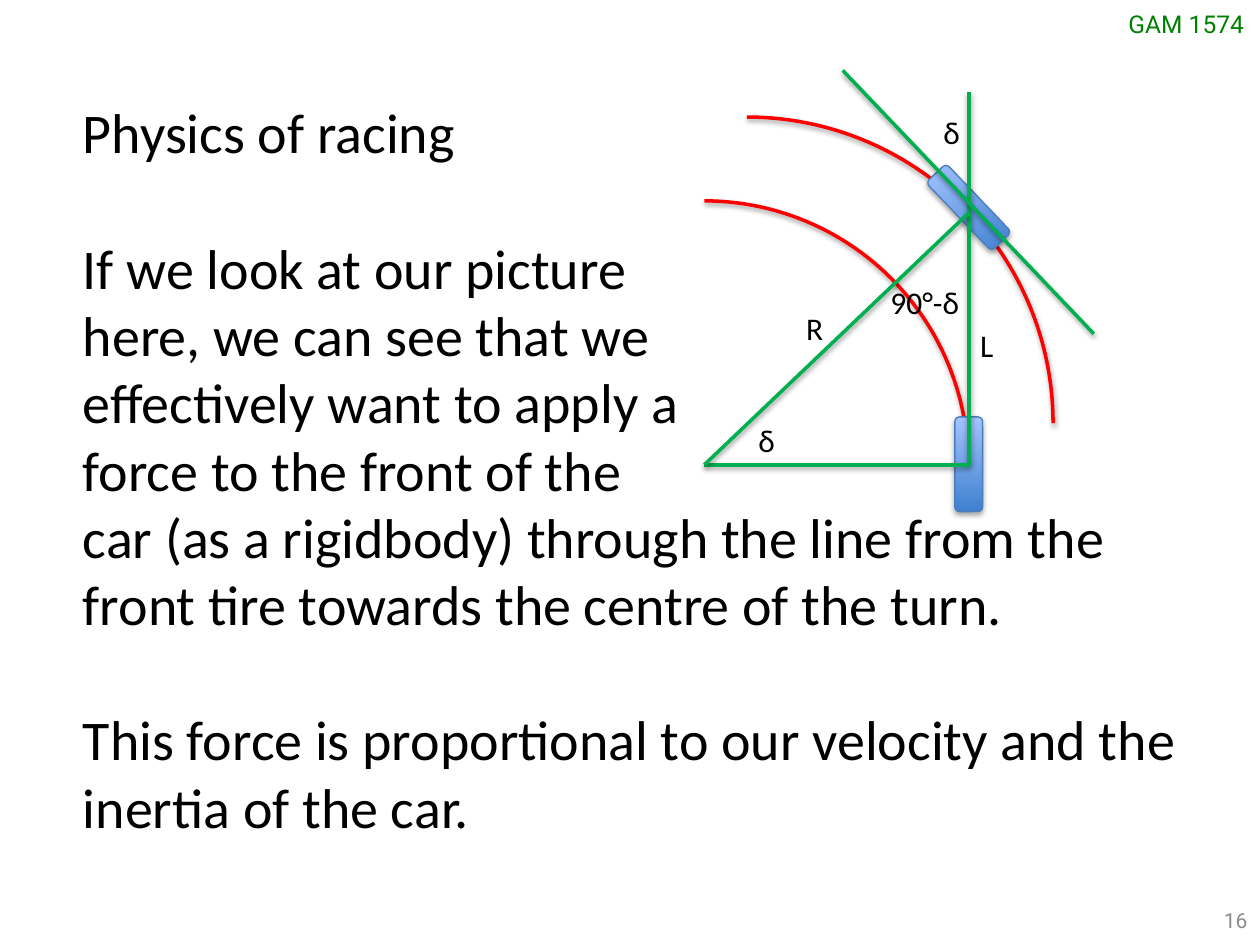
from typing import NamedTuple

import pptx
import pptx.dml.color
import pptx.enum.shapes
import pptx.enum.text
import pptx.oxml
import pptx.oxml.ns
import pptx.util

Cm = pptx.util.Cm
Pt = pptx.util.Pt
RGBColor = pptx.dml.color.RGBColor
Kind = pptx.enum.shapes.MSO_SHAPE
Align = pptx.enum.text.PP_ALIGN
Anchor = pptx.enum.text.MSO_ANCHOR

BLACK = RGBColor(0x00, 0x00, 0x00)
GREY = RGBColor(0x8C, 0x8C, 0x8C)
GREEN = RGBColor(0x00, 0x80, 0x00)
LIME = RGBColor(0x00, 0xB0, 0x50)
RED = RGBColor(0xFF, 0x00, 0x00)
EDGE = RGBColor(0x4B, 0x7E, 0xBC)
DARK = RGBColor(0x3F, 0x80, 0xCE)
LIGHT = RGBColor(0xA4, 0xC4, 0xFF)


# Lengths in these records are centimetres
class Label(NamedTuple):
    text: str
    x: float
    y: float
    wide: float


class Arc(NamedTuple):
    x: float
    y: float
    radius: float


class Wheel(NamedTuple):
    y: float
    turn: float


class Line(NamedTuple):
    x1: float
    y1: float
    x2: float
    y2: float


AXLE = 19.53  # x of both wheels
HUB_X, HUB_Y = 14.2, 9.37  # centre of the turn

ARCS = [Arc(HUB_X, HUB_Y, 5.32), Arc(15.06, 8.53, 6.17)]
WHEELS = [Wheel(9.36, 0), Wheel(4.18, 316.3)]
LINES = [
    Line(AXLE, 1.85, AXLE, HUB_Y),
    Line(AXLE, HUB_Y, HUB_X, HUB_Y),
    Line(AXLE, 4.29, HUB_X, HUB_Y),
    Line(22.05, 6.73, 16.99, 1.42),
]
LABELS = [
    Label("δ", 15.04, 8.36, 0.84),
    Label("90°-δ", 17.7, 5.59, 1.91),
    Label("R", 16, 6.1, 0.86),
    Label("L", 19.51, 6.45, 0.79),
    Label("δ", 18.77, 2.16, 0.84),
]
# Each block is a list of paragraphs; a gap of one line parts the blocks
BLOCKS = [
    ["Physics of racing"],
    [
        "If we look at our picture",
        "here, we can see that we",
        "effectively want to apply a",
        "force to the front of the",
        "car (as a rigidbody) through the line from the front tire "
        "towards the centre of the turn.",
    ],
    ["This force is proportional to our velocity and the inertia of the car."],
]


def style(para, size: float, color: RGBColor, face: str) -> None:
    para.font.size = Pt(size)
    para.font.color.rgb = color
    para.font.name = face


def add_box(slide, x: float, y: float, wide: float, high: float, wrap: bool):
    box = slide.shapes.add_textbox(Cm(x), Cm(y), Cm(wide), Cm(high))
    box.text_frame.word_wrap = wrap
    return box.text_frame


def add_shadow(shape, alpha: int, dist: float) -> None:
    xml = (
        f'<a:effectLst {pptx.oxml.ns.nsdecls("a")}>'
        f'<a:outerShdw blurRad="{Pt(3.1)}" dist="{Pt(dist)}" dir="5400000" rotWithShape="0">'
        f'<a:srgbClr val="000000"><a:alpha val="{alpha * 1000}"/></a:srgbClr>'
        "</a:outerShdw></a:effectLst>"
    )
    shape._element.spPr.append(pptx.oxml.parse_xml(xml))


def set_line(shape, color: RGBColor, width: float) -> None:
    shape.line.color.rgb = color
    shape.line.width = Pt(width)


def draw_arc(slide, arc: Arc) -> None:
    side = Cm(2 * arc.radius)
    shape = slide.shapes.add_shape(
        Kind.ARC, Cm(arc.x - arc.radius), Cm(arc.y - arc.radius), side, side
    )
    shape.fill.background()
    set_line(shape, RED, 2)
    add_shadow(shape, 38, 1.6)


def draw_wheel(slide, wheel: Wheel) -> None:
    wide, high = 0.56, 1.91
    shape = slide.shapes.add_shape(
        Kind.ROUNDED_RECTANGLE,
        Cm(AXLE - wide / 2), Cm(wheel.y - high / 2), Cm(wide), Cm(high),
    )
    shape.rotation = wheel.turn
    shape.fill.gradient()
    shape.fill.gradient_angle = 90
    for stop, color in zip(shape.fill.gradient_stops, (DARK, LIGHT)):
        stop.color.rgb = color
    set_line(shape, EDGE, 0.75)
    add_shadow(shape, 35, 1.8)


def draw_line(slide, line: Line) -> None:
    shape = slide.shapes.add_connector(
        pptx.enum.shapes.MSO_CONNECTOR.STRAIGHT, *(Cm(v) for v in line)
    )
    set_line(shape, LIME, 2)
    add_shadow(shape, 38, 1.6)


def draw_label(slide, label: Label) -> None:
    frame = add_box(slide, label.x, label.y, label.wide, 1.02, False)
    frame.text = label.text
    style(frame.paragraphs[0], 18, BLACK, "Calibri")


def draw_body(slide) -> None:
    frame = add_box(slide, 1.42, 1.85, 22.86, 15.29, True)
    para = frame.paragraphs[0]
    for i, block in enumerate(BLOCKS):
        for j, text in enumerate(block):
            if i or j:
                para = frame.add_paragraph()
            if i and not j:
                para.space_before = Pt(39)
            para.text = text
            style(para, 32, BLACK, "Calibri")


def main() -> None:
    deck = pptx.Presentation()
    deck.slide_width, deck.slide_height = Cm(25.4), Cm(19.05)
    slide = deck.slides.add_slide(deck.slide_layouts[6])

    # Course code and page number
    code = add_box(slide, 22.5, 0.05, 2.9, 0.86, False)
    code.text = "GAM 1574"
    style(code.paragraphs[0], 14, GREEN, "Roboto")
    page = add_box(slide, 19.48, 18.03, 5.92, 1.02, True)
    page.text = "16"
    page.vertical_anchor = Anchor.MIDDLE
    page.paragraphs[0].alignment = Align.RIGHT
    style(page.paragraphs[0], 12, GREY, "Roboto")

    draw_body(slide)

    # Steering diagram
    for arc in ARCS:
        draw_arc(slide, arc)
    for wheel in WHEELS:
        draw_wheel(slide, wheel)
    for line in LINES:
        draw_line(slide, line)
    for label in LABELS:
        draw_label(slide, label)

    deck.save("out.pptx")


if __name__ == "__main__":
    main()
